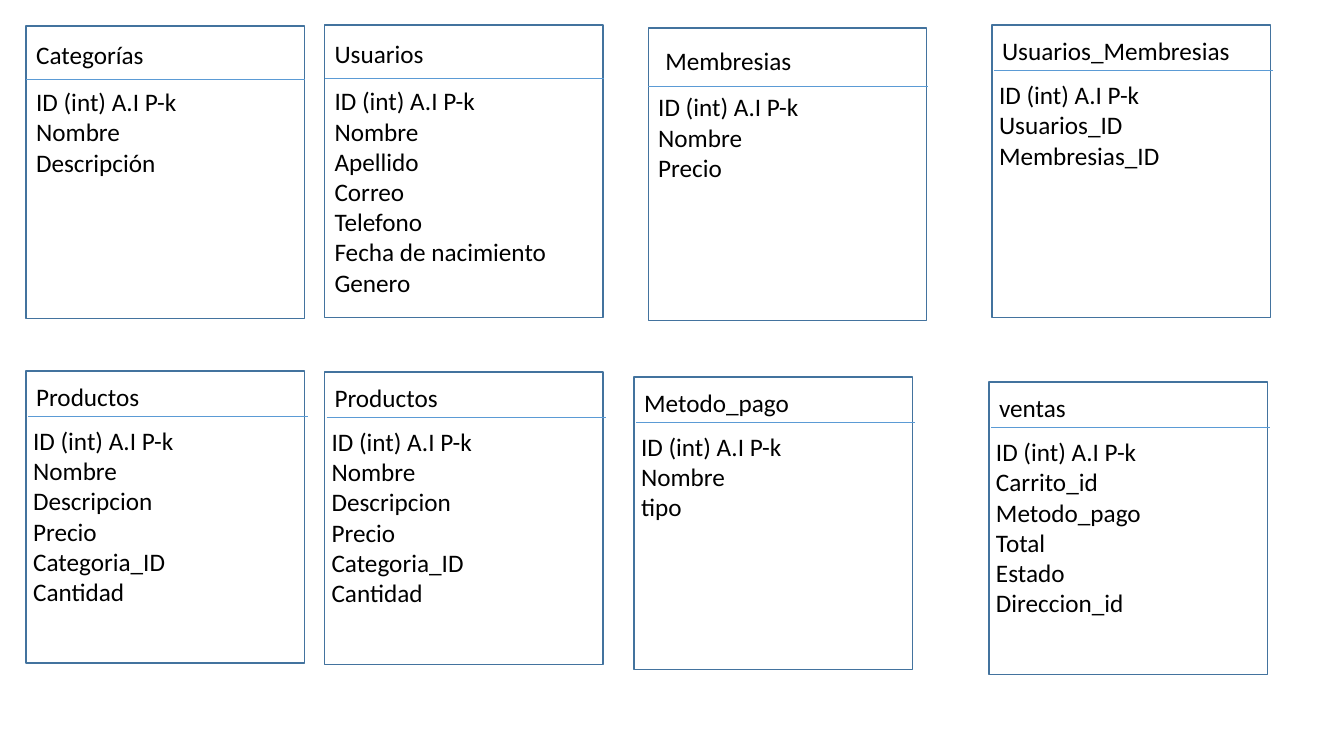
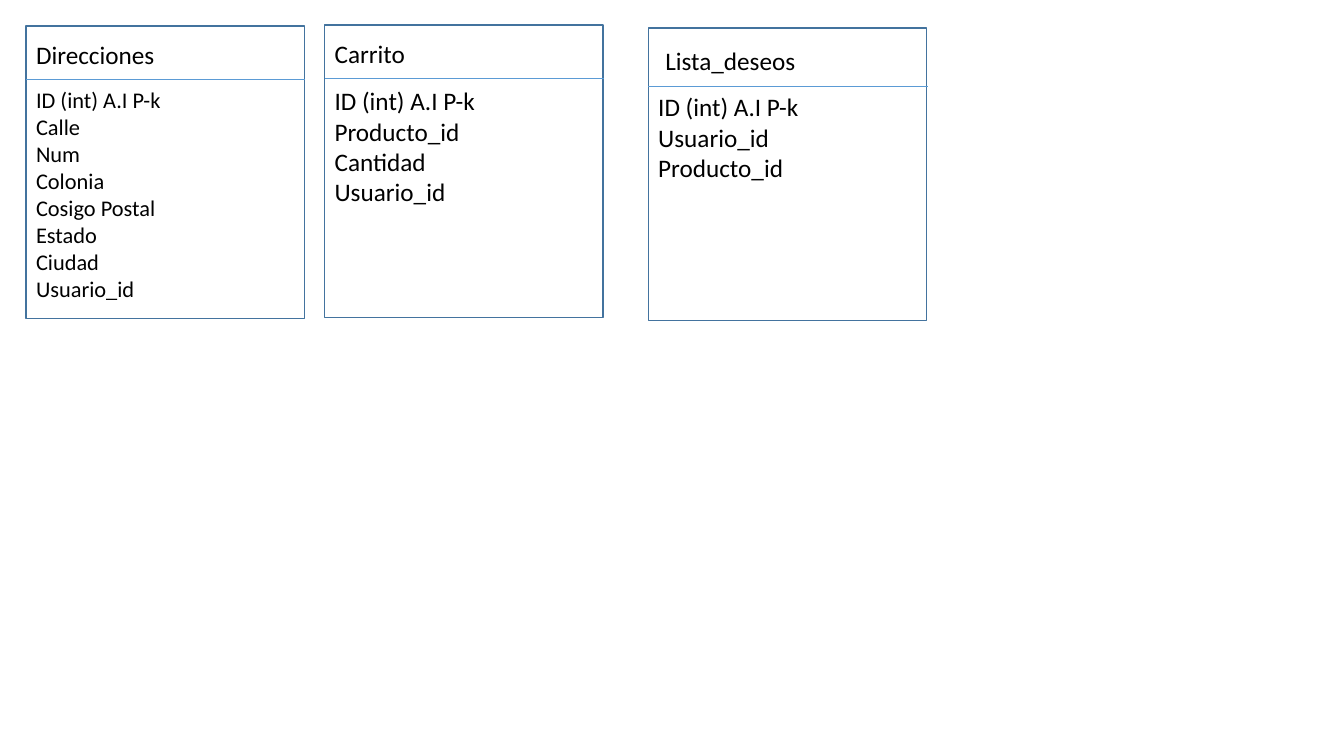
import pptx
import pptx.util
import pptx.dml.color
import pptx.enum.shapes
import pptx.enum.text
import pptx.oxml

SCALE = 9144  # EMU per px, 100 px to the inch
FONT = "Calibri"
COLORS = {"edge": "43739E", "rule": "5B9BD5", "text": "000000"}
CARD_W, CARD_H = 276, 290
RULE_W, TITLE_H = 277, 40
KEY = "ID (int) A.I P-k"

# Card styles: offsets of rule, title and body from the card corner, title width
STYLES = {
    "tall": {"rule": (0, 53), "title": (0, 8), "body": (0, 55), "wide": 171},
    "inset": {"rule": (0, 58), "title": (7, 12), "body": (0, 58), "wide": 255},
    "low": {"rule": (2, 45), "title": (0, 5), "body": (-3, 49), "wide": 255},
}


def px(n):
    return pptx.util.Emu(n * SCALE)


def color(name):
    return pptx.dml.color.RGBColor.from_string(COLORS[name])


class Deck:
    def __init__(self):
        self.prs = pptx.Presentation()
        self.prs.slide_width = px(1333)
        self.prs.slide_height = px(750)
        self.slide = None

    def page(self):
        self.slide = self.prs.slides.add_slide(self.prs.slide_layouts[6])

    def frame(self, x, y):
        kind = pptx.enum.shapes.MSO_SHAPE.RECTANGLE
        box = self.slide.shapes.add_shape(kind, px(x), px(y), px(CARD_W), px(CARD_H))
        box.shadow.inherit = False
        box.fill.background()
        box.line.color.rgb = color("edge")
        box.line.width = pptx.util.Pt(1)

    def rule(self, x, y):
        kind = pptx.enum.shapes.MSO_CONNECTOR.STRAIGHT
        line = self.slide.shapes.add_connector(kind, px(x), px(y), px(x + RULE_W), px(y))
        line.line.color.rgb = color("rule")
        line.line.width = pptx.util.Pt(0.5)
        props = line._element.spPr
        props.append(pptx.oxml.parse_xml(
            '<a:effectLst xmlns:a="http://schemas.openxmlformats.org/drawingml/2006/main"/>'))

    def text(self, x, y, w, h, lines, size=18, wrap=True):
        box = self.slide.shapes.add_textbox(px(x), px(y), px(w), px(h))
        frame = box.text_frame
        frame.word_wrap = wrap
        frame.auto_size = pptx.enum.text.MSO_AUTO_SIZE.SHAPE_TO_FIT_TEXT
        for i, line in enumerate(lines):
            para = frame.add_paragraph() if i else frame.paragraphs[0]
            run = para.add_run()
            run.text = line
            run.font.name = FONT
            run.font.size = pptx.util.Pt(size)
            run.font.color.rgb = color("text")

    def card(self, x, y, style, title, fields, wide=162, size=18, wrap=False):
        look = STYLES[style]
        lines = [KEY, *fields]
        (rx, ry), (tx, ty), (bx, by) = look["rule"], look["title"], look["body"]
        self.frame(x, y)
        self.rule(x + rx, y + ry)
        self.text(x + tx, y + ty, look["wide"], TITLE_H, [title])
        high = 10 + round(len(lines) * size * 5 / 3)
        self.text(x + bx, y + by, wide, high, lines, size, wrap)


def main():
    deck = Deck()
    goods = ["Nombre", "Descripcion", "Precio", "Categoria_ID", "Cantidad"]

    # Slide 1: top row
    deck.page()
    deck.card(26, 26, "tall", "Categorías", ["Nombre", "Descripción"])
    deck.card(322, 25, "tall", "Usuarios",
              ["Nombre", "Apellido", "Correo", "Telefono",
               "Fecha de nacimiento", "Genero"], wide=233)
    deck.card(643, 28, "inset", "Membresias", ["Nombre", "Precio"])
    deck.card(984, 25, "low", "Usuarios_Membresias",
              ["Usuarios_ID", "Membresias_ID"], wide=181)

    # Slide 1: bottom row
    deck.card(26, 368, "low", "Productos", goods)
    deck.card(322, 369, "low", "Productos", goods)
    deck.card(629, 374, "low", "Metodo_pago", ["Nombre", "tipo"])
    deck.card(981, 379, "low", "ventas",
              ["Carrito_id", "Metodo_pago", "Total", "Estado", "Direccion_id"],
              wide=165)

    # Slide 2
    deck.page()
    deck.card(26, 26, "tall", "Direcciones",
              ["Calle", "Num", "Colonia", "Cosigo Postal", "Estado", "Ciudad",
               "Usuario_id"], wide=236, size=16, wrap=True)
    deck.card(322, 25, "tall", "Carrito", ["Producto_id", "Cantidad", "Usuario_id"])
    deck.card(643, 28, "inset", "Lista_deseos", ["Usuario_id", "Producto_id"])

    deck.prs.save("out.pptx")


if __name__ == "__main__":
    main()
